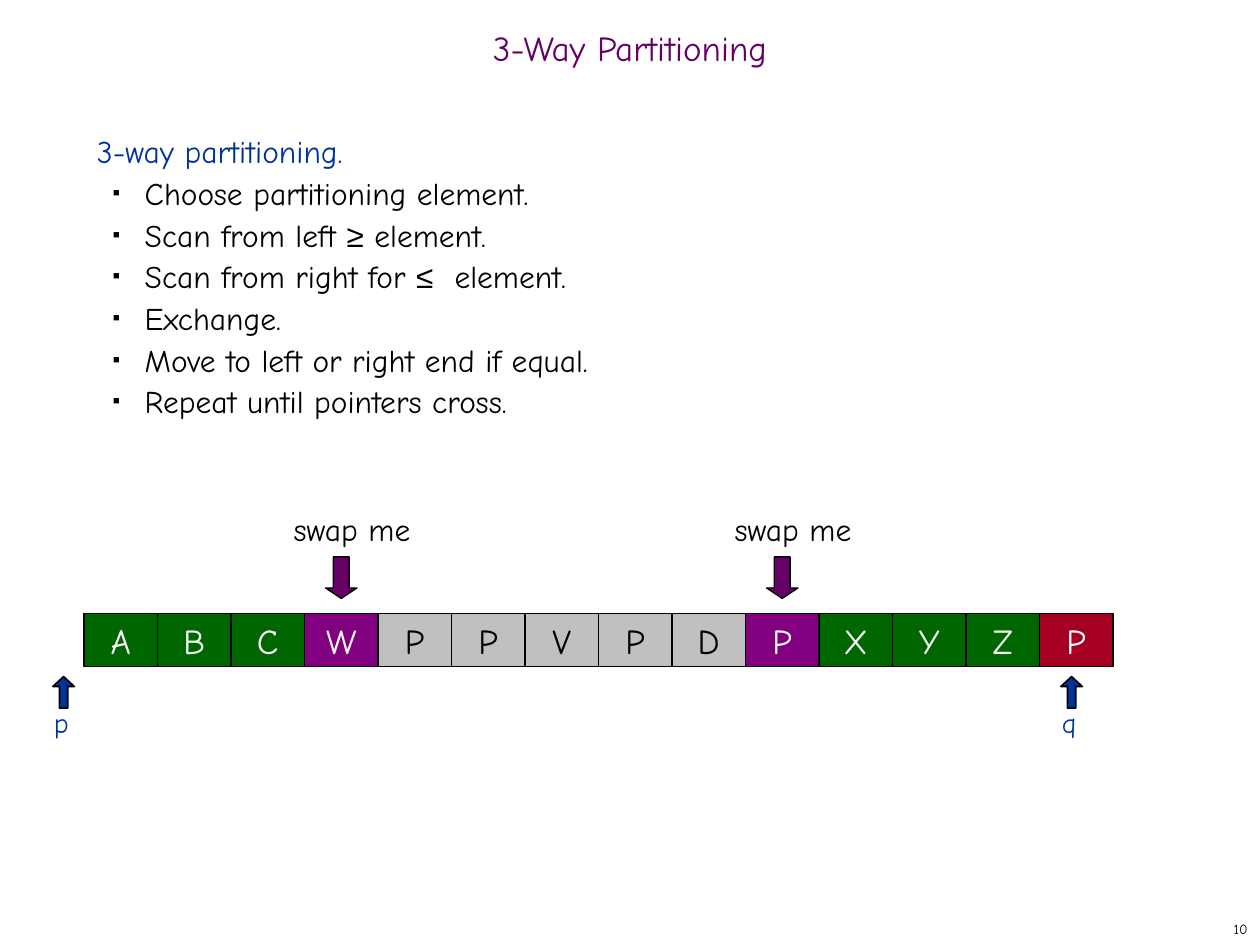
from lxml import etree
from pptx import Presentation
from pptx.dml.color import RGBColor
from pptx.enum.shapes import MSO_SHAPE
from pptx.enum.text import MSO_ANCHOR, MSO_AUTO_SIZE, PP_ALIGN
from pptx.oxml.ns import qn
from pptx.util import Inches, Pt

RECT, UP, DOWN = MSO_SHAPE.RECTANGLE, MSO_SHAPE.UP_ARROW, MSO_SHAPE.DOWN_ARROW
LEFT, CENTER, RIGHT = PP_ALIGN.LEFT, PP_ALIGN.CENTER, PP_ALIGN.RIGHT
TOP, MIDDLE = MSO_ANCHOR.TOP, MSO_ANCHOR.MIDDLE
FIXED = MSO_AUTO_SIZE.NONE

BLACK = RGBColor(0x00, 0x00, 0x00)
WHITE = RGBColor(0xFF, 0xFF, 0xFF)
PLUM = RGBColor(0x66, 0x00, 0x66)
PURPLE = RGBColor(0x80, 0x00, 0x80)
BLUE = RGBColor(0x00, 0x33, 0x99)
GREEN = RGBColor(0x00, 0x66, 0x00)
GRAY = RGBColor(0xC0, 0xC0, 0xC0)
RED = RGBColor(0xA5, 0x00, 0x21)
FACE, SYMBOL = "Comic Neue", "Arial"

# Content
TITLE = "3-Way Partitioning"
HEAD = "3-way partitioning. "
STEPS = [
    ["Choose partitioning element."],
    ["Scan from left ", "≥", " element."],
    ["Scan from right for ", "≤", "  element."],
    ["Exchange."],
    ["Move to left or right end if equal."],
    ["Repeat until pointers cross."],
]
GROUPS = [  # letters, fill, text colour
    ("ABC", GREEN, WHITE),
    ("W", PURPLE, WHITE),
    ("PPVPD", GRAY, BLACK),
    ("P", PURPLE, WHITE),
    ("XYZ", GREEN, WHITE),
    ("P", RED, WHITE),
]
POINTERS = [("p", 0.5), ("q", 8.5)]  # name, centre
SWAPS = [3, 9]  # cell indexes
CELL_X, CELL_Y, CELL_W, CELL_H = 2 / 3, 4.87, 7 / 12, 0.42

prs = Presentation()
prs.slide_width, prs.slide_height = Inches(10), Inches(7.5)
slide = prs.slides.add_slide(prs.slide_layouts[5])


def style(par, size, color, align=LEFT, before=0):
    par.alignment = align
    par.space_before = Pt(before)
    par.font.name, par.font.size = FACE, Pt(size)
    par.font.color.rgb = color


def label(box, text, size, color, align=LEFT, before=0, anchor=TOP):
    x, y, w, h = box
    shape = slide.shapes.add_textbox(Inches(x), Inches(y), Inches(w), Inches(h))
    frame = shape.text_frame
    frame.word_wrap = True
    frame.vertical_anchor = anchor
    frame.text = text
    style(frame.paragraphs[0], size, color, align, before)
    return frame


def block(kind, box, fill, width, adjust=()):
    x, y, w, h = box
    shape = slide.shapes.add_shape(kind, Inches(x), Inches(y), Inches(w), Inches(h))
    shape.shadow.inherit = False
    shape.fill.solid()
    shape.fill.fore_color.rgb = fill
    shape.line.color.rgb = BLACK
    shape.line.width = Pt(width)
    for i, value in enumerate(adjust):
        shape.adjustments[i] = value
    return shape


def bullet(par):
    props = par._p.get_or_add_pPr()
    props.set("marL", str(Inches(0.38)))
    props.set("indent", str(Inches(-0.25)))
    color = etree.SubElement(props, qn("a:buClr"))
    etree.SubElement(color, qn("a:srgbClr"), val=str(BLACK))
    etree.SubElement(props, qn("a:buSzPct"), val="35000")
    etree.SubElement(props, qn("a:buFont"), typeface=SYMBOL)
    etree.SubElement(props, qn("a:buChar"), char="■")


# Title
title = slide.shapes.title
title.left, title.top = Inches(0), Inches(0.17)
title.width, title.height = Inches(10), Inches(0.5)
title.text = TITLE
title.text_frame.auto_size = FIXED
title.text_frame.vertical_anchor = MIDDLE
style(title.text_frame.paragraphs[0], 20, PLUM, CENTER)
title.text_frame.paragraphs[0].line_spacing = 0.7

# Steps
body = label((0.67, 1, 8.58, 5.92), HEAD, 18, BLUE, before=2.2)
for step in STEPS:
    par = body.add_paragraph()
    par.level = 1
    bullet(par)
    style(par, 18, BLACK, before=2.2)
    for part in step:
        run = par.add_run()
        run.text = part
        if part in "≥≤":
            run.font.name = SYMBOL

# Array cells
cells = [(letter, fill, ink) for letters, fill, ink in GROUPS for letter in letters]
for i, (letter, fill, ink) in enumerate(cells):
    cell = block(RECT, (CELL_X + i * CELL_W, CELL_Y, CELL_W, CELL_H), fill, 0.74)
    frame = cell.text_frame
    frame.word_wrap = False
    frame.vertical_anchor = MIDDLE
    frame.text = letter
    style(frame.paragraphs[0], 20, ink, CENTER)

# Pointers below the array
for name, mid in POINTERS:
    label((mid - 0.17, 5.55, 0.33, 0.37), name, 16, BLUE, before=10)
    block(UP, (mid - 0.08, 5.37, 0.17, 0.25), BLUE, 0.99, (0.383, 0.464))

# Swap marks above the array
for i in SWAPS:
    mid = CELL_X + (i + 0.5) * CELL_W
    block(DOWN, (mid - 0.125, 4.42, 0.25, 0.33), PLUM, 0.74, (0.5, 0.333))
    label((mid - 0.625, 4, 1.42, 0.4), "swap me", 18, BLACK, CENTER, 11.2)

# Page number
label((7.92, 7.25, 2.08, 0.25), "10", 8, BLACK, RIGHT, anchor=MIDDLE)

prs.save("out.pptx")
